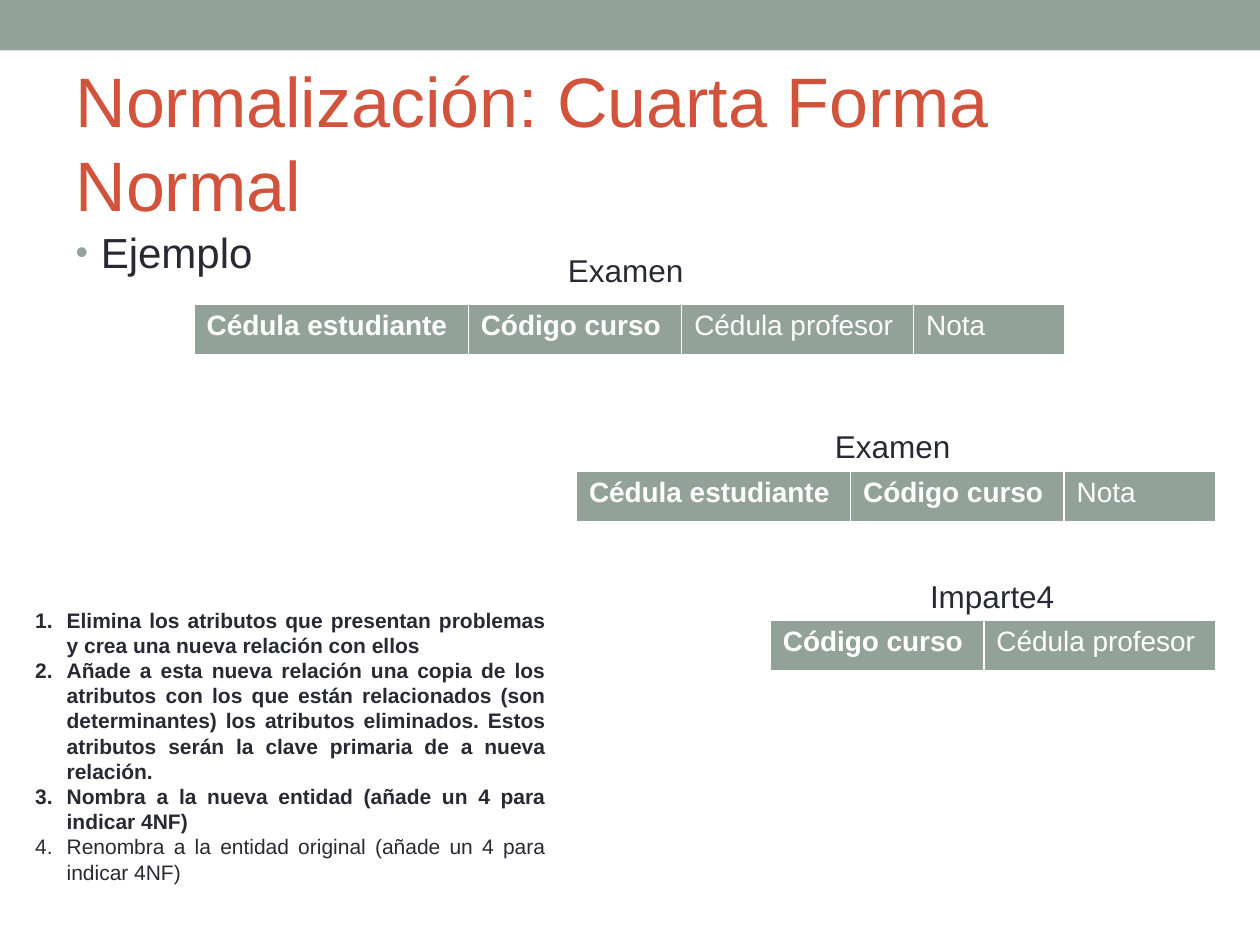
import pptx
import pptx.util
import pptx.oxml
import pptx.oxml.ns
import pptx.dml.color
import pptx.enum.text
import pptx.enum.shapes
from dataclasses import dataclass

Pt = pptx.util.Pt
Align = pptx.enum.text.PP_ALIGN
Anchor = pptx.enum.text.MSO_ANCHOR


@dataclass(frozen=True)
class Theme:
    font: str = "Arial"
    sage: str = "93A299"
    red: str = "D2533C"
    ink: str = "292934"
    white: str = "FFFFFF"
    head: int = 40
    lead: int = 24
    label: int = 18
    cell: int = 16
    step: int = 12


theme = Theme()

TITLE = "Normalización: Cuarta Forma Normal"
LEAD = "Ejemplo"
WIDTHS = {
    "Cédula estudiante": 156.7,
    "Código curso": 122,
    "Cédula profesor": 132.5,
    "Nota": 86.6,
}
ROW = 29.5
# name, label (left, top), table (left, top), key fields, other fields
TABLES = [
    ("Examen", (247, 139.7), (110.9, 173.9),
     ["Cédula estudiante", "Código curso"], ["Cédula profesor", "Nota"]),
    ("Examen", (399.6, 240.5), (329.4, 269.3),
     ["Cédula estudiante", "Código curso"], ["Nota"]),
    ("Imparte4", (456.5, 326.2), (440.2, 354.5),
     ["Código curso"], ["Cédula profesor"]),
]
# text, bold
STEPS = [
    ("Elimina los atributos que presentan problemas y crea una nueva "
     "relación con ellos", True),
    ("Añade a esta nueva relación una copia de los atributos con los que "
     "están relacionados (son determinantes) los atributos eliminados. Estos "
     "atributos serán la clave primaria de a nueva relación.", True),
    ("Nombra a la nueva entidad (añade un 4 para indicar 4NF)", True),
    ("Renombra a la entidad original (añade un 4 para indicar 4NF)", False),
]


def color(code):
    return pptx.dml.color.RGBColor.from_string(code)


def node(xml):
    return pptx.oxml.parse_xml(
        xml.replace(">", f" {pptx.oxml.ns.nsdecls('a')}>", 1))


def write(para, text, size=theme.label, ink=theme.ink, bold=False,
          align=Align.LEFT):
    para.alignment = align
    para.space_before = Pt(0)
    run = para.add_run()
    run.text = text
    font = run.font
    font.name, font.size, font.bold = theme.font, Pt(size), bold
    font.color.rgb = color(ink)


def mark(para, indent, ink, kind, scale=100):
    """Give a paragraph a hanging bullet or number."""
    props = para._p.get_or_add_pPr()
    props.set("marL", str(Pt(indent)))
    props.set("indent", str(-Pt(indent)))
    for xml in (
        f'<a:buClr><a:srgbClr val="{ink}"/></a:buClr>',
        f'<a:buSzPct val="{scale * 1000}"></a:buSzPct>',
        f'<a:buFont typeface="{theme.font}"></a:buFont>',
        kind,
    ):
        props.append(node(xml))


def place(shape, left, top, width, height):
    shape.left, shape.top = Pt(left), Pt(top)
    shape.width, shape.height = Pt(width), Pt(height)


def box(slide, left, top, width, height):
    frame = slide.shapes.add_textbox(
        Pt(left), Pt(top), Pt(width), Pt(height)).text_frame
    frame.word_wrap = True
    return frame


def edge(cell):
    """Draw white cell borders, the lower one thicker."""
    props = cell._tc.get_or_add_tcPr()
    for spot, (side, width) in enumerate(
            [("L", 1), ("R", 1), ("T", 1), ("B", 3)]):
        props.insert(spot, node(
            f'<a:ln{side} w="{Pt(width)}"><a:solidFill>'
            f'<a:srgbClr val="{theme.white}"/></a:solidFill></a:ln{side}>'))


def grid(slide, left, top, keys, rest):
    names = keys + rest
    total = sum(WIDTHS[name] for name in names)
    table = slide.shapes.add_table(
        1, len(names), Pt(left), Pt(top), Pt(total), Pt(ROW)).table
    table.rows[0].height = Pt(ROW)
    for col, name in enumerate(names):
        table.columns[col].width = Pt(WIDTHS[name])
        cell = table.cell(0, col)
        cell.fill.solid()
        cell.fill.fore_color.rgb = color(theme.sage)
        edge(cell)
        write(cell.text_frame.paragraphs[0], name, size=theme.cell,
              ink=theme.white, bold=name in keys)


def main():
    deck = pptx.Presentation()
    deck.slide_width, deck.slide_height = Pt(720), Pt(540)
    slide = deck.slides.add_slide(deck.slide_layouts[1])

    band = slide.shapes.add_shape(
        pptx.enum.shapes.MSO_SHAPE.RECTANGLE, 0, 0, Pt(720), Pt(28.8))
    band.shadow.inherit = False
    band.fill.solid()
    band.fill.fore_color.rgb = color(theme.sage)
    band.line.fill.background()

    title, body = slide.placeholders
    place(title, 36, 41.8, 648, 77.8)
    title.text_frame.vertical_anchor = Anchor.MIDDLE
    title.text_frame.auto_size = pptx.enum.text.MSO_AUTO_SIZE.NONE
    write(title.text_frame.paragraphs[0], TITLE, size=theme.head,
          ink=theme.red)

    place(body, 36, 126, 648, 383.8)
    lead = body.text_frame.paragraphs[0]
    write(lead, LEAD, size=theme.lead, align=Align.JUSTIFY)
    mark(lead, 14.4, theme.sage, '<a:buChar char="•"></a:buChar>', scale=85)

    for name, label, spot, keys, rest in TABLES:
        write(box(slide, *label, 221, 28.8).paragraphs[0], name,
              align=Align.CENTER)
        grid(slide, *spot, keys, rest)

    frame = box(slide, 13, 343.4, 306, 181.4)
    for row, (text, bold) in enumerate(STEPS):
        para = frame.add_paragraph() if row else frame.paragraphs[0]
        write(para, text, size=theme.step, bold=bold, align=Align.JUSTIFY)
        mark(para, 18, theme.ink,
             '<a:buAutoNum type="arabicPeriod"></a:buAutoNum>')

    deck.save("out.pptx")


if __name__ == "__main__":
    main()
